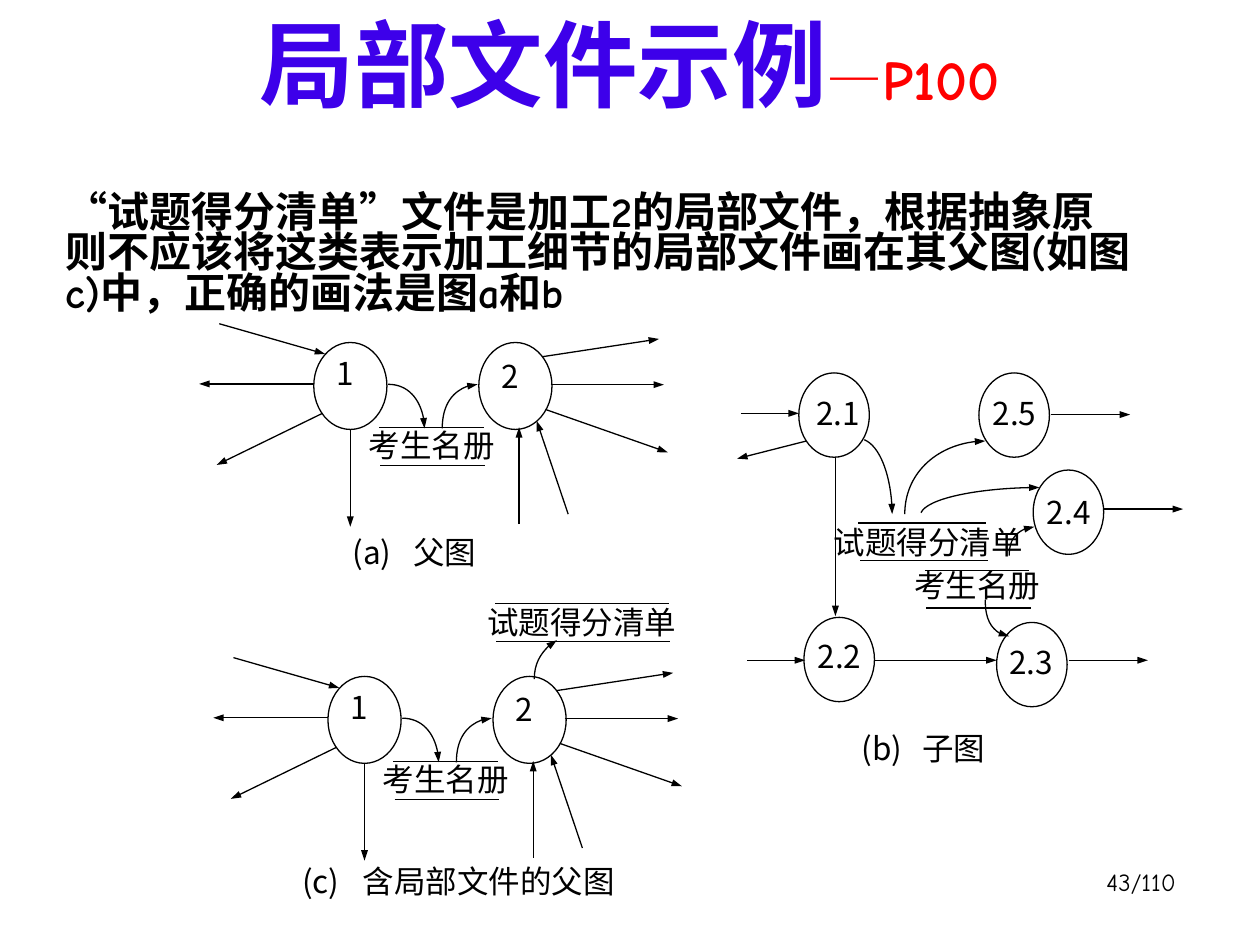
import pptx
import pptx.dml.color
import pptx.enum.shapes
import pptx.enum.text
import pptx.oxml.ns
import pptx.util
from lxml import etree

Pt = pptx.util.Pt
qn = pptx.oxml.ns.qn
ALIGN = pptx.enum.text.PP_ALIGN
ANCHOR = pptx.enum.text.MSO_ANCHOR

BLACK = pptx.dml.color.RGBColor(0x00, 0x00, 0x00)
VIOLET = pptx.dml.color.RGBColor(0x3D, 0x00, 0xEA)
RED = pptx.dml.color.RGBColor(0xFF, 0x00, 0x00)

COMIC = "Comic Neue"
ARIAL = "Arial"
SANS = "Noto Sans CJK SC"


class DataFlowSlide:
    line_width = 0.75
    label_size = 18
    store_height = 21.6
    caption_tab = 34.7
    quarter = 0.55

    def __init__(self, slide):
        self.slide = slide
        self.shapes = slide.shapes

    def style_font(self, font, name=None, size=None, color=None, bold=None, asian=None):
        if size:
            font.size = Pt(size)
        if bold is not None:
            font.bold = bold
        if color is not None:
            font.color.rgb = color
        if name:
            font.name = name
            etree.SubElement(font._rPr, qn("a:ea")).set("typeface", asian or name)

    def place_placeholder(self, index, box, anchor):
        """Move a placeholder and return its first paragraph."""
        shape = self.slide.placeholders[index]
        shape.left, shape.top, shape.width, shape.height = map(Pt, box)
        frame = shape.text_frame
        frame.word_wrap = True
        frame.auto_size = pptx.enum.text.MSO_AUTO_SIZE.NONE
        frame.vertical_anchor = anchor
        paragraph = frame.paragraphs[0]
        paragraph.space_before = Pt(0)
        return paragraph

    def title(self, main, dash, reference):
        paragraph = self.place_placeholder(0, (36, 12.2, 648, 59.8), ANCHOR.BOTTOM)
        paragraph.alignment = ALIGN.CENTER
        for text, size, color, bold, asian in ((main, 54, VIOLET, True, COMIC),
                                               (dash, 32, RED, False, SANS),
                                               (reference, 32, RED, True, COMIC)):
            run = paragraph.add_run()
            run.text = text
            self.style_font(run.font, COMIC, size, color, bold, asian)

    def body(self, runs):
        paragraph = self.place_placeholder(1, (30.2, 108, 624.2, 77.8), ANCHOR.TOP)
        paragraph.line_spacing = 0.8
        properties = paragraph._p.get_or_add_pPr()
        properties.set("marL", "0")
        properties.set("indent", "0")
        etree.SubElement(properties, qn("a:buNone"))
        self.style_font(paragraph.font, size=24, color=BLACK, bold=True)
        for text, name, asian in runs:
            run = paragraph.add_run()
            run.text = text
            self.style_font(run.font, name, asian=asian)

    def label(self, text, box, alignment=ALIGN.JUSTIFY, name=SANS, size=label_size, tab=None):
        frame = self.shapes.add_textbox(*map(Pt, box)).text_frame
        frame.word_wrap = True
        paragraph = frame.paragraphs[0]
        paragraph.text = text
        paragraph.alignment = alignment
        if tab:
            stops = etree.SubElement(paragraph._p.get_or_add_pPr(), qn("a:tabLst"))
            etree.SubElement(stops, qn("a:tab"), pos=str(Pt(tab)), algn="l")
        self.style_font(paragraph.font, name, size, BLACK)

    def caption(self, mark, text, left, top, width):
        self.label(f"{mark}\t{text}", (left, top, width, 45), tab=self.caption_tab)

    def stroke(self, shape, arrow=False):
        shape.line.color.rgb = BLACK
        shape.line.width = Pt(self.line_width)
        if arrow:
            etree.SubElement(shape.line._get_or_add_ln(), qn("a:tailEnd"),
                             type="triangle", w="sm", len="med")

    def line(self, x1, y1, x2, y2, arrow=False):
        connector = self.shapes.add_connector(
            pptx.enum.shapes.MSO_CONNECTOR.STRAIGHT, Pt(x1), Pt(y1), Pt(x2), Pt(y2))
        self.stroke(connector, arrow)
        etree.SubElement(connector._element.spPr, qn("a:effectLst"))

    def process(self, left, top, width, height):
        ellipse = self.shapes.add_shape(
            pptx.enum.shapes.MSO_SHAPE.OVAL, Pt(left), Pt(top), Pt(width), Pt(height))
        ellipse.shadow.inherit = False
        ellipse.fill.background()
        self.stroke(ellipse)

    def curve(self, start, corner, end):
        """Draw a curved arrow that bends towards the corner."""
        builder = self.shapes.build_freeform(Pt(start[0]), Pt(start[1]))
        builder.add_line_segments([(Pt(end[0]), Pt(end[1]))], close=False)
        shape = builder.convert_to_shape()
        outline = shape._element.find(".//" + qn("a:path"))
        outline.remove(outline.find(qn("a:lnTo")))
        bend = etree.SubElement(outline, qn("a:cubicBezTo"))
        controls = [[a + self.quarter * (c - a) for a, c in zip(point, corner)]
                    for point in (start, end)]
        for x, y in controls + [end]:
            etree.SubElement(bend, qn("a:pt"),
                             x=str(Pt(x) - shape.left), y=str(Pt(y) - shape.top))
        shape.shadow.inherit = False
        shape.fill.background()
        self.stroke(shape, arrow=True)

    def store(self, text, left, top, width, label_box, shift=0.7):
        """Draw a data store: two rules with a label between them."""
        self.line(left, top, left + width, top)
        bottom = top + self.store_height
        self.line(left + shift, bottom, left + width + shift, bottom)
        self.label(text, label_box, ALIGN.CENTER)

    def parent_diagram(self, dx=0, dy=0):
        for text, x, y in (("2", 279.4, 200.2), ("1", 185, 198.7)):
            self.label(text, (x + dx, y + dy, 41.8, 42.5))
        for x in (179.3, 273.6):
            self.process(x + dx, 195.7 + dy, 41.8, 49.7)
        for x1, y1, x2, y2 in PARENT_FLOWS:
            self.line(x1 + dx, y1 + dy, x2 + dx, y2 + dy, arrow=True)
        for points in PARENT_CURVES:
            self.curve(*[(x + dx, y + dy) for x, y in points])
        self.store("考生名册", 216.7 + dx, 244.3 + dy, 59.8,
                   (195.1 + dx, 239.8 + dy, 103, 39.6))

    def child_diagram(self):
        for text, left, top, label_left, label_top in CHILD_PROCESSES:
            self.label(text, (label_left, label_top, 41.8, 42.5))
            self.process(left, top, 40.3, 48.2)
        for flow in CHILD_FLOWS:
            self.line(*flow, arrow=True)
        for points in CHILD_CURVES:
            self.curve(*points)
        self.store("试题得分清单", 490.5, 298.8, 73.2, (462.2, 295.2, 136.8, 39.6), shift=1)
        self.store("考生名册", 528.5, 325.9, 59.8, (506.9, 319.7, 103, 10.8))


PARENT_FLOWS = [
    (200.2, 245.5, 200.2, 301), (179.3, 219.4, 113.8, 219.4),
    (296.6, 299.5, 296.6, 244.1), (314.6, 219.8, 379.4, 219.8),
    (324.7, 293.8, 306.7, 240.5), (125.3, 185, 185.8, 202.3),
    (184.3, 236.2, 123.8, 265.7), (310.3, 203.8, 376.6, 193.7),
    (311.8, 234, 381.6, 258.5),
]
PARENT_CURVES = [
    ((221.8, 219.6), (242.6, 219.6), (242.6, 244.8)),
    ((252.7, 244.8), (252.7, 219.6), (272.9, 219.6)),
]
CHILD_PROCESSES = [
    ("2.1", 456.5, 213.1, 459.4, 221.8),
    ("2.2", 459.4, 352.8, 460.1, 360.7),
    ("2.3", 569.5, 355.7, 569.5, 363.6),
    ("2.4", 590.4, 268.6, 591.1, 277.9),
    ("2.5", 559.4, 213.1, 560.2, 221.8),
]
CHILD_FLOWS = [
    (630.7, 290.9, 676.1, 290.9), (600.5, 236.9, 645.8, 236.9),
    (499.7, 377.3, 569.5, 377.3), (427, 377.3, 460.1, 377.3),
    (610.6, 377.3, 655.9, 377.3), (423.4, 236.2, 456.5, 236.2),
    (477.4, 261.4, 477.4, 352.1), (460.8, 252, 421.2, 262.1),
]
CHILD_CURVES = [
    ((563, 342.7), (563, 363.6), (576.7, 363.6)),
    ((517, 293.8), (517, 252), (563, 252)),
    ((526.3, 293), (532.8, 278.6), (594, 278.6)),
    ((493.9, 251.3), (509.8, 257.8), (509.8, 293.8)),
    ((576.7, 317.5), (576.7, 301), (591.1, 301)),
]


def main():
    presentation = pptx.Presentation()
    presentation.slide_width, presentation.slide_height = Pt(720), Pt(540)
    page = DataFlowSlide(presentation.slides.add_slide(presentation.slide_layouts[1]))

    page.title("局部文件示例", "—", "P100")
    page.body([
        ("“", ARIAL, SANS), ("试题得分清单", COMIC, COMIC), ("”", ARIAL, SANS),
        ("文件是加工2的局部文件，根据抽象原则不应该将这类表示加工细节的局部文件"
         "画在其父图(如图c)中，正确的画法是图a和b", COMIC, COMIC),
    ])
    page.label("43/110", (529.2, 491.8, 149.8, 36), ALIGN.RIGHT, COMIC, 14)

    page.parent_diagram()
    page.caption("(a)", "父图", 194.4, 301, 112.3)

    page.child_diagram()
    page.caption("(b)", "子图", 485.3, 413.3, 112.3)

    page.parent_diagram(8.1, 190.8)
    page.store("试题得分清单", 283, 344.9, 99.4, (262.1, 341.3, 140.4, 39.6))
    page.curve((305.3, 388.1), (305.3, 372.2), (318.2, 365.8))
    page.caption("(c)", "含局部文件的父图", 165.6, 488.9, 254.9)

    presentation.save("out.pptx")


if __name__ == "__main__":
    main()
